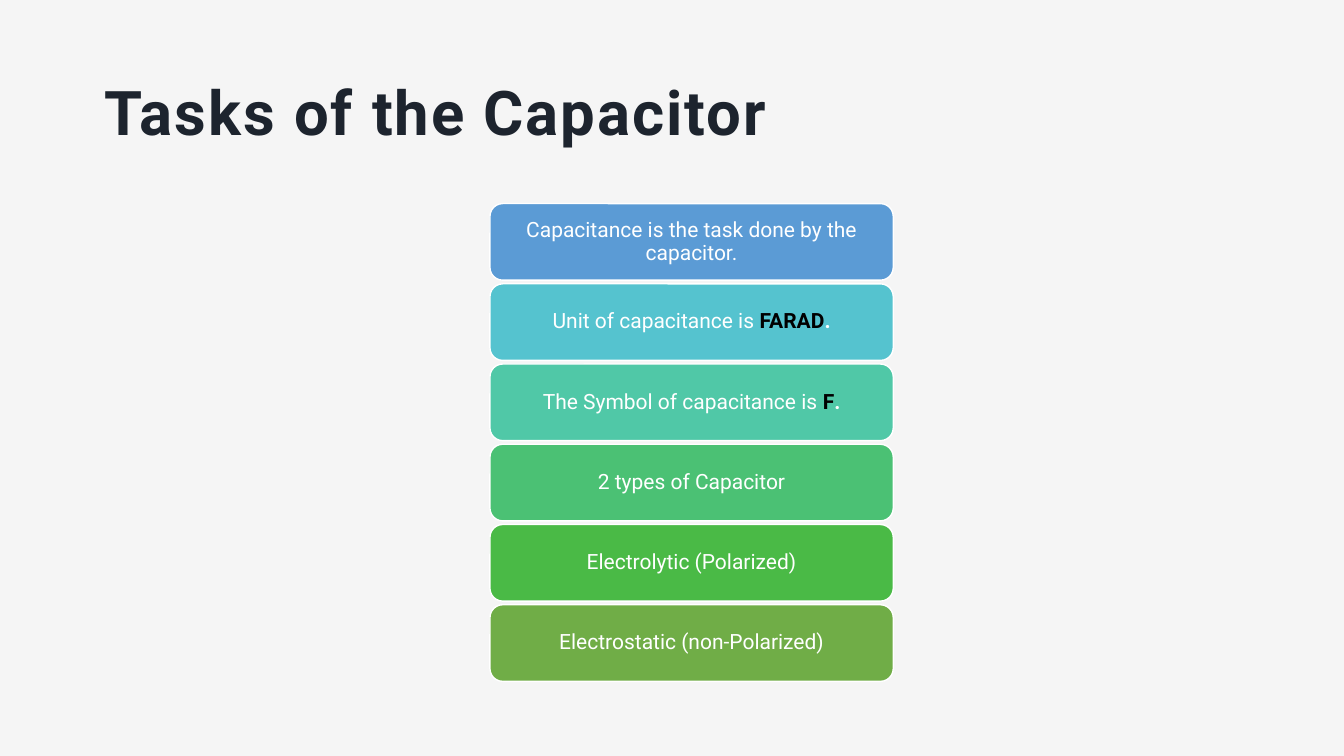
import pptx
import pptx.util
import pptx.dml.color
import pptx.enum.shapes
import pptx.enum.text
import pptx.oxml.ns
import lxml.etree

Inches, Pt = pptx.util.Inches, pptx.util.Pt
RGB = pptx.dml.color.RGBColor.from_string
SHAPES = pptx.enum.shapes.MSO_SHAPE
ANCHOR = pptx.enum.text.MSO_ANCHOR

THEME = {
    "font": "Roboto", "title_size": Pt(44), "task_size": Pt(15),
    "title": "1D242E", "white": "FFFFFF", "key": "000000", "veil": "F2F1F1",
}
# Each task: box colour, plain wording, bold key term, closing mark
TASKS = [
    ("5B9BD5", "Capacitance is the task done by the capacitor.", "", ""),
    ("55C3CF", "Unit of capacitance is\u00a0", "FARAD", "."),
    ("50C8A7", "The Symbol of capacitance is\u00a0", "F", "."),
    ("4BC174", "2 types of Capacitor", "", ""),
    ("4ABA46", "Electrolytic (Polarized)", "", ""),
    ("70AD47", "Electrostatic (non-Polarized)", "", ""),
]
STACK_LEFT, STACK_TOP = Inches(4.86), Inches(2.02)
BOX_WIDTH, BOX_HEIGHT = Inches(4), Inches(0.76)
ROW_PITCH = Inches(0.796)

deck = pptx.Presentation()
deck.slide_width, deck.slide_height = Inches(13.33), Inches(7.5)
slide = deck.slides.add_slide(deck.slide_layouts[6])


def add_filled(kind, left, top, width, height, colour):
    shape = slide.shapes.add_shape(kind, left, top, width, height)
    shape.shadow.inherit = False
    shape.fill.solid()
    shape.fill.fore_color.rgb = RGB(colour)
    return shape


def set_frame(frame, side, top, bottom, anchor):
    """Wrap the text and set its insets in inches."""
    frame.word_wrap = True
    frame.margin_left = frame.margin_right = Inches(side)
    frame.margin_top, frame.margin_bottom = Inches(top), Inches(bottom)
    frame.vertical_anchor = anchor


# Backdrop: white under a translucent grey veil
for colour in (THEME["white"], THEME["veil"]):
    backdrop = add_filled(SHAPES.RECTANGLE, 0, 0, deck.slide_width, deck.slide_height, colour)
    backdrop.line.fill.background()
veil_colour = backdrop.fill._xPr.find(".//" + pptx.oxml.ns.qn("a:srgbClr"))
lxml.etree.SubElement(veil_colour, pptx.oxml.ns.qn("a:alpha"), val="70000")

# Title
title = slide.shapes.add_textbox(Inches(0.92), Inches(0.61), Inches(11.32), Inches(1.4))
set_frame(title.text_frame, 0.12, 0.12, 0.1, ANCHOR.TOP)
heading = title.text_frame.paragraphs[0]
heading_run = heading.add_run()
heading_run.text = "Tasks of the Capacitor"
heading.font.name, heading.font.size = THEME["font"], THEME["title_size"]
heading.font.bold = True
heading.font.color.rgb = RGB(THEME["title"])
heading_run._r.get_or_add_rPr().set("spc", "140")

# Stack of tasks
for row, (colour, wording, key_term, closing) in enumerate(TASKS):
    box = add_filled(SHAPES.ROUNDED_RECTANGLE, STACK_LEFT, STACK_TOP + row * ROW_PITCH,
                     BOX_WIDTH, BOX_HEIGHT, colour)
    box.line.color.rgb = RGB(THEME["white"])
    box.line.width = Pt(1)
    set_frame(box.text_frame, 0.1, 0.07, 0.07, ANCHOR.MIDDLE)
    task = box.text_frame.paragraphs[0]
    task.alignment = pptx.enum.text.PP_ALIGN.CENTER
    task.line_spacing = 0.9
    task.font.name, task.font.size = THEME["font"], THEME["task_size"]
    parts = ((wording, "white", False), (key_term, "key", True), (closing, "white", True))
    for words, ink, bold in parts:
        if words:
            run = task.add_run()
            run.text = words
            run.font.bold = bold
            run.font.color.rgb = RGB(THEME[ink])

deck.save("out.pptx")
